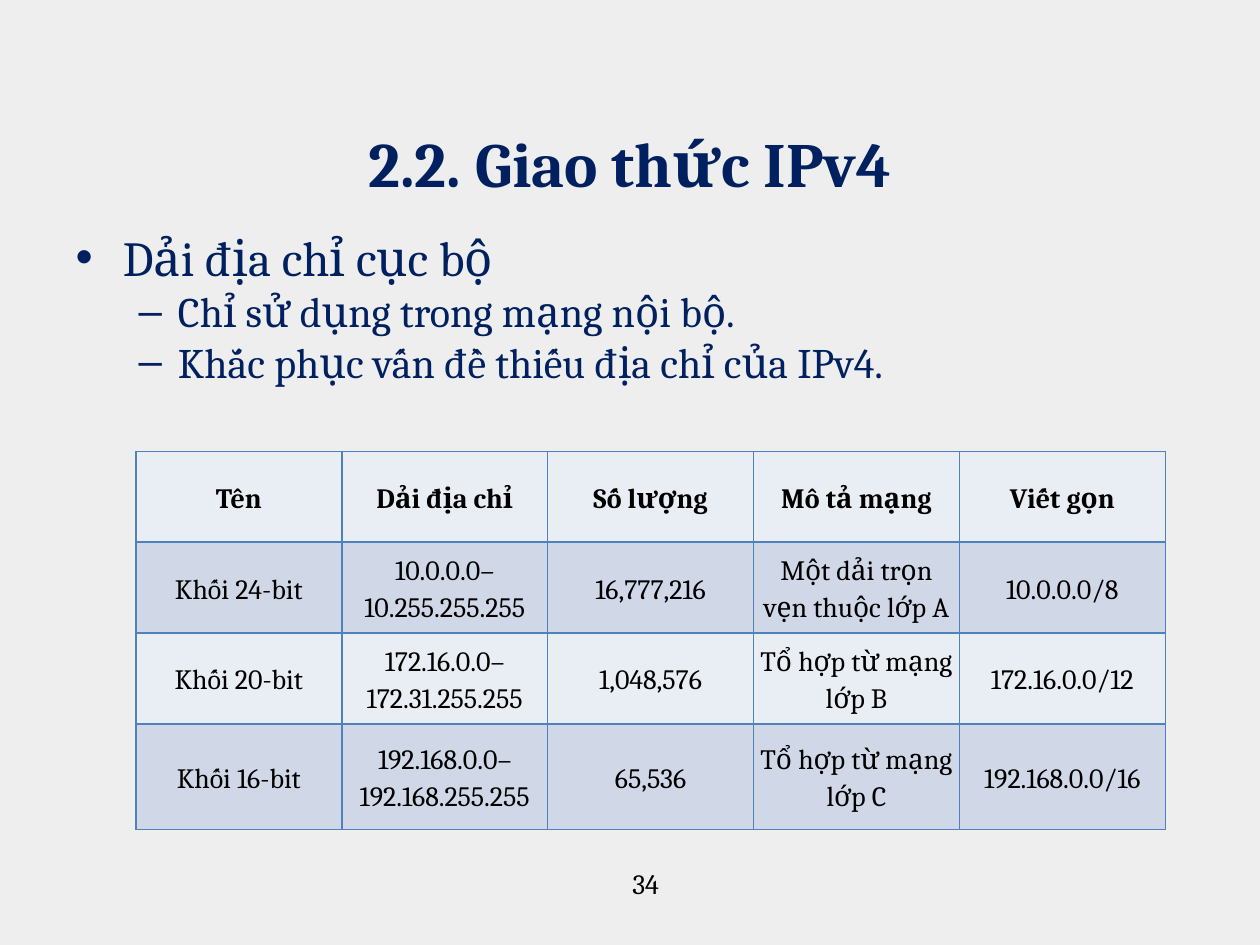
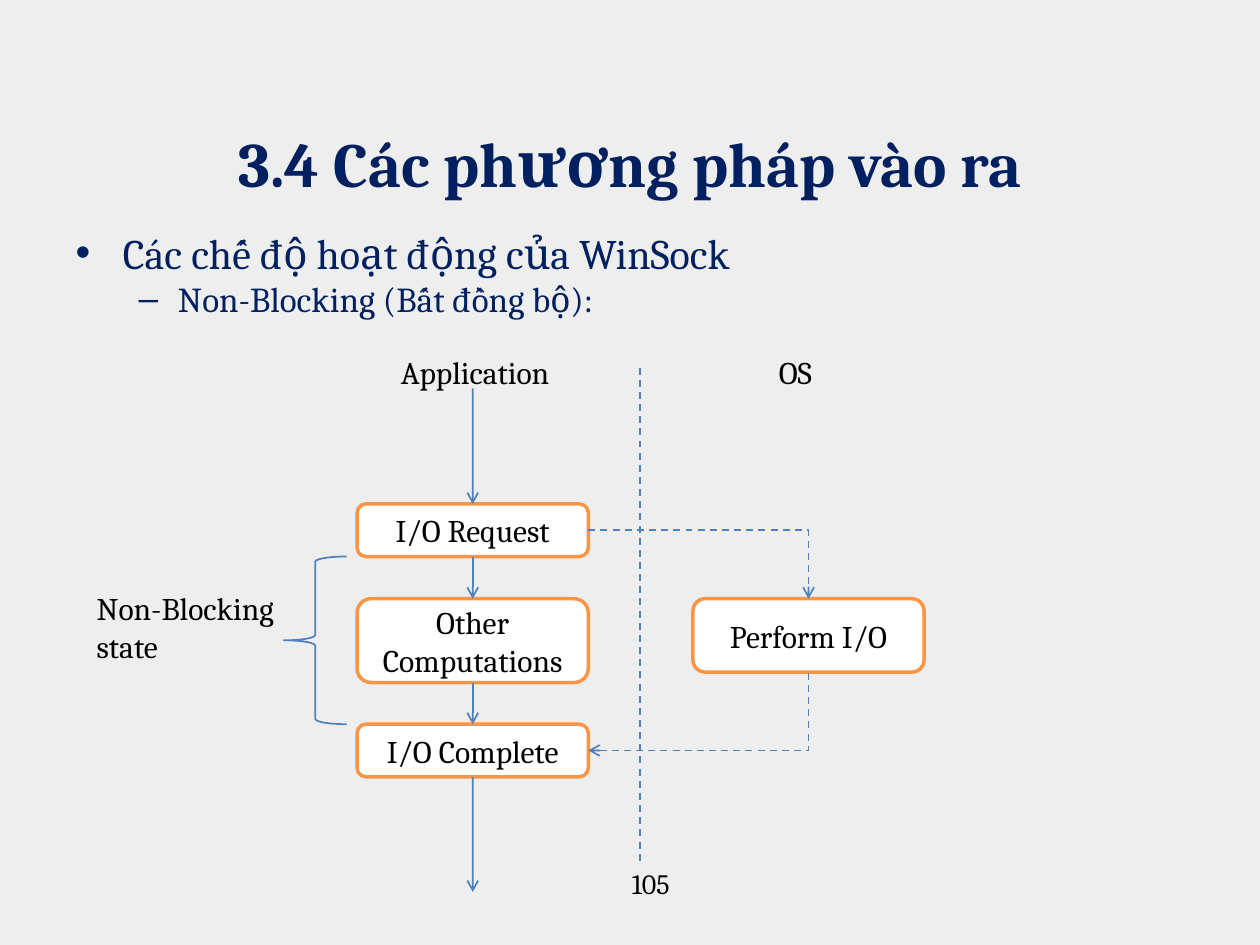
from lxml import etree
from pptx import Presentation
from pptx.dml.color import RGBColor
from pptx.enum.dml import MSO_LINE
from pptx.enum.shapes import MSO_CONNECTOR, MSO_SHAPE
from pptx.enum.text import MSO_ANCHOR, PP_ALIGN
from pptx.oxml import parse_xml
from pptx.oxml.ns import nsdecls, qn
from pptx.util import Cm, Pt

NAVY = RGBColor(0x00, 0x20, 0x60)
BLACK = RGBColor(0x00, 0x00, 0x00)
WHITE = RGBColor(0xFF, 0xFF, 0xFF)
BLUE = RGBColor(0x4F, 0x81, 0xBD)
ORANGE = RGBColor(0xF7, 0x96, 0x46)
PAPER = RGBColor(0xEE, 0xEE, 0xEE)
ROW_FILLS = [RGBColor(0xE9, 0xED, 0xF4), RGBColor(0xD0, 0xD8, 0xE8)]
FONT = "Cambria"

LEFT, CENTER = PP_ALIGN.LEFT, PP_ALIGN.CENTER
MIDDLE, BOTTOM = MSO_ANCHOR.MIDDLE, MSO_ANCHOR.BOTTOM
STRAIGHT, ELBOW = MSO_CONNECTOR.STRAIGHT, MSO_CONNECTOR.ELBOW
ROUNDED, BRACE = MSO_SHAPE.ROUNDED_RECTANGLE, MSO_SHAPE.LEFT_BRACE
DASH = MSO_LINE.DASH
TOP_SITE, BOTTOM_SITE, RIGHT_SITE = 0, 2, 3


def write(frame, text, size, color=BLACK, align=LEFT, bold=False):
    frame.text = text
    frame.word_wrap = True
    for paragraph in frame.paragraphs:
        paragraph.alignment = align
        font = paragraph.font
        font.name, font.size, font.bold = FONT, Pt(size), bold
        font.color.rgb = color


def draw_line(slide, start, end, kind=STRAIGHT, dashed=False, arrow_at="tailEnd"):
    """Each end is an (x, y) pair in cm or a (shape, connection site) pair."""
    line = slide.shapes.add_connector(kind, 0, 0, 0, 0)
    if isinstance(start[0], (int, float)):
        line.begin_x, line.begin_y = Cm(start[0]), Cm(start[1])
    else:
        line.begin_connect(*start)
    if isinstance(end[0], (int, float)):
        line.end_x, line.end_y = Cm(end[0]), Cm(end[1])
    else:
        line.end_connect(*end)
    line.line.color.rgb = BLUE
    line.line.width = Pt(1)
    if dashed:
        line.line.dash_style = DASH
    properties = line._element.spPr
    if kind == ELBOW:
        properties.find(qn("a:prstGeom")).set("prst", "bentConnector2")
    if arrow_at:
        outline = line.line._get_or_add_ln()
        etree.SubElement(outline, qn(f"a:{arrow_at}"), type="arrow")
    etree.SubElement(properties, qn("a:effectLst"))


prs = Presentation()
prs.slide_width, prs.slide_height = Cm(25.4), Cm(19.05)

# Shared parts: background, title, bullet list, page number
pages = [
    ("2.2. Giao thức IPv4", "34", 1.9, 22.43, 28, 24,
     ["Dải địa chỉ cục bộ", "Chỉ sử dụng trong mạng nội bộ.",
      "Khắc phục vấn đề thiếu địa chỉ của IPv4."]),
    ("3.4 Các phương pháp vào ra", "105", 2.11, 22.86, 24, 20,
     ["Các chế độ hoạt động của WinSock", "Non-Blocking (Bất đồng bộ):"]),
]
slides = []
for heading, number, number_left, list_width, top_size, sub_size, points in pages:
    slide = prs.slides.add_slide(prs.slide_layouts[1])
    slides.append(slide)
    slide.background.fill.solid()
    slide.background.fill.fore_color.rgb = PAPER

    title, body = slide.placeholders
    title.left, title.top, title.width, title.height = Cm(1.27), Cm(0.99), Cm(22.86), Cm(3.18)
    title.text_frame.vertical_anchor = BOTTOM
    write(title.text_frame, heading, 36, NAVY, CENTER, bold=True)

    body.left, body.top, body.width, body.height = Cm(1.27), Cm(4.45), Cm(list_width), Cm(12.9)
    write(body.text_frame, "\n".join(points), top_size, NAVY)
    for point in body.text_frame.paragraphs:
        point.space_before = Pt(0)
    for point in body.text_frame.paragraphs[1:]:
        point.level = 1
        point.font.size = Pt(sub_size)

    page_number = slide.shapes.add_textbox(
        Cm(number_left), Cm(17.35), Cm(24.13 - number_left), Cm(1.32))
    write(page_number.text_frame, number, 16, align=CENTER)

address_slide, blocking_slide = slides

# Private address ranges
address_rows = [
    ["Tên", "Dải địa chỉ", "Số lượng", "Mô tả mạng", "Viết gọn"],
    ["Khối 24-bit", "10.0.0.0–10.255.255.255", "16,777,216",
     "Một dải trọn vẹn thuộc lớp A", "10.0.0.0/8"],
    ["Khối 20-bit", "172.16.0.0–172.31.255.255", "1,048,576",
     "Tổ hợp từ mạng lớp B", "172.16.0.0/12"],
    ["Khối 16-bit", "192.168.0.0–192.168.255.255", "65,536",
     "Tổ hợp từ mạng lớp C", "192.168.0.0/16"],
]
row_heights = [1.83, 1.83, 1.83, 2.13]
ranges = address_slide.shapes.add_table(
    4, 5, Cm(2.74), Cm(9.1), Cm(20.75), Cm(sum(row_heights))).table
for column in ranges.columns:
    column.width = Cm(4.15)
for r, (values, height) in enumerate(zip(address_rows, row_heights)):
    ranges.rows[r].height = Cm(height)
    for c, value in enumerate(values):
        cell = ranges.cell(r, c)
        cell.vertical_anchor = MIDDLE
        cell.margin_left = cell.margin_right = cell.margin_top = cell.margin_bottom = Cm(0.05)
        write(cell.text_frame, value, 16, align=CENTER, bold=r == 0)
        cell.text_frame.paragraphs[0].line_spacing = 1.15
        cell.text_frame.paragraphs[0].space_before = Pt(5)
        for side in ("lnL", "lnR", "lnT", "lnB"):
            cell._tc.get_or_add_tcPr().append(parse_xml(
                f'<a:{side} {nsdecls("a")} w="12700"><a:solidFill>'
                f'<a:srgbClr val="{BLUE}"/></a:solidFill></a:{side}>'))
        cell.fill.solid()
        cell.fill.fore_color.rgb = ROW_FILLS[r % 2]

# Non-blocking flow: steps as (label, column centre, top, height)
APP_X, OS_X, STEP_WIDTH = 9.53, 16.3, 4.66
steps = []
for label, centre, top, height in [
    ("I/O Request", APP_X, 10.16, 1.06),
    ("Other\nComputations", APP_X, 12.07, 1.69),
    ("I/O Complete", APP_X, 14.6, 1.06),
    ("Perform I/O", OS_X, 12.07, 1.48),
]:
    step = blocking_slide.shapes.add_shape(
        ROUNDED, Cm(centre - STEP_WIDTH / 2), Cm(top), Cm(STEP_WIDTH), Cm(height))
    step.shadow.inherit = False
    step.fill.solid()
    step.fill.fore_color.rgb = WHITE
    step.line.color.rgb = ORANGE
    step.line.width = Pt(2)
    step.text_frame.vertical_anchor = MIDDLE
    write(step.text_frame, label, 18, align=CENTER)
    steps.append(step)
request, computations, complete, perform = steps

# Application flow, then the dashed path through the OS
draw_line(blocking_slide, (APP_X, 7.83), (request, TOP_SITE))
draw_line(blocking_slide, (request, BOTTOM_SITE), (computations, TOP_SITE))
draw_line(blocking_slide, (computations, BOTTOM_SITE), (complete, TOP_SITE))
draw_line(blocking_slide, (complete, BOTTOM_SITE), (APP_X, 17.98))
draw_line(blocking_slide, (12.9, 7.41), (12.9, 17.35), dashed=True, arrow_at=None)
draw_line(blocking_slide, (request, RIGHT_SITE), (perform, TOP_SITE), ELBOW, dashed=True)
draw_line(blocking_slide, (complete, RIGHT_SITE), (perform, BOTTOM_SITE), ELBOW,
          dashed=True, arrow_at="headEnd")

# Brace over the non-blocking stretch
brace = blocking_slide.shapes.add_shape(BRACE, Cm(5.72), Cm(11.22), Cm(1.27), Cm(3.38))
brace.shadow.inherit = False
brace.fill.background()
brace.line.color.rgb = BLUE
brace.line.width = Pt(1)

# Labels
for label, left, top, width, height in [
    ("Application", 7.83, 6.99, 4.45, 1.02),
    ("OS", 15.45, 6.99, 2.33, 1.02),
    ("Non-Blocking state", 1.7, 11.75, 4.45, 1.8),
]:
    caption = blocking_slide.shapes.add_textbox(Cm(left), Cm(top), Cm(width), Cm(height))
    write(caption.text_frame, label, 18)

prs.save("out.pptx")
